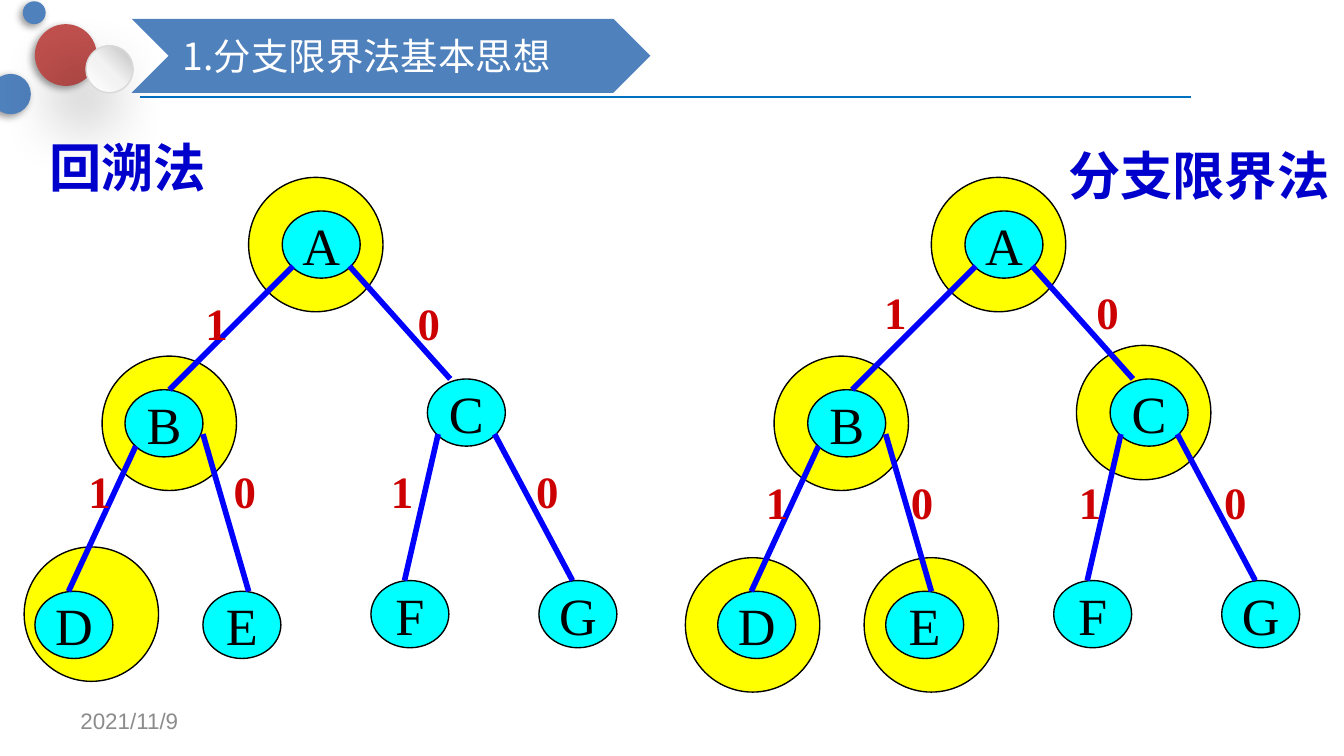
from dataclasses import dataclass

import lxml.etree
import pptx
import pptx.dml.color
import pptx.enum.shapes
import pptx.enum.text
import pptx.oxml.ns
import pptx.util
from pptx.util import Inches

RGBColor = pptx.dml.color.RGBColor
SHAPE = pptx.enum.shapes.MSO_SHAPE
ALIGN = pptx.enum.text.PP_ALIGN
ANCHOR = pptx.enum.text.MSO_ANCHOR
AUTO_SIZE = pptx.enum.text.MSO_AUTO_SIZE
qn = pptx.oxml.ns.qn

BLACK = RGBColor(0x00, 0x00, 0x00)
WHITE = RGBColor(0xFF, 0xFF, 0xFF)
YELLOW = RGBColor(0xFF, 0xFF, 0x00)
CYAN = RGBColor(0x00, 0xFF, 0xFF)
EDGE_BLUE = RGBColor(0x00, 0x00, 0xFF)
RULE_BLUE = RGBColor(0x00, 0x70, 0xC0)
BANNER_BLUE = RGBColor(0x4F, 0x81, 0xBD)
HEADING_BLUE = RGBColor(0x00, 0x00, 0xCC)
LABEL_RED = RGBColor(0xCC, 0x00, 0x00)
BALL_RED = RGBColor(0xC0, 0x50, 0x4D)
PALE_GRAY = RGBColor(0xF2, 0xF2, 0xF2)
RIM_GRAY = RGBColor(0xD9, 0xD9, 0xD9)
MID_GRAY = RGBColor(0xBF, 0xBF, 0xBF)
DATE_GRAY = RGBColor(0x8C, 0x8C, 0x8C)

TITLE_FONT = {"name": "Noto Sans CJK SC", "size": pptx.util.Pt(20), "bold": False}
HEADING_FONT = {"name": "Noto Sans CJK SC", "size": pptx.util.Pt(28), "bold": True}
NODE_FONT = {"name": "Times New Roman", "size": pptx.util.Pt(28), "bold": False}
LABEL_FONT = {"name": "Times New Roman", "size": pptx.util.Pt(24), "bold": True}
DATE_FONT = {"name": "Arial", "size": pptx.util.Pt(12), "bold": False}

NODE_WIDTH, NODE_HEIGHT, HALO_SIZE = 0.58, 0.5, 1
NODES = {"A": (2.1, 1.57), "B": (0.93, 2.9), "C": (3.18, 2.82), "D": (0.26, 4.4),
         "E": (1.51, 4.4), "F": (2.76, 4.32), "G": (4.01, 4.32)}
EDGES = [(2.18, 1.98, 1.26, 2.9), (2.6, 1.98, 3.35, 2.82), (1.01, 3.32, 0.51, 4.4),
         (1.51, 3.23, 1.85, 4.4), (3.26, 3.23, 3.01, 4.32), (3.68, 3.23, 4.26, 4.32)]


@dataclass
class Ball:
    left: float
    top: float
    size: float
    color: RGBColor | None  # None gives the shaded white ball
    blur: float = 4
    distance: float = 2


@dataclass
class Tree:
    heading: str
    heading_box: tuple[float, float, float, float]
    offset: float
    halos: list[tuple[float, float]]
    label_rows: list[tuple[float, list[float]]]  # top, then lefts of 1, 0, 1, 0


BALLS = [
    Ball(0.26, 0.18, 0.46, BALL_RED),
    Ball(-0.07, 0.55, 0.3, BANNER_BLUE),
    Ball(0.64, 0.34, 0.35, None, 35, 20),
    Ball(0.17, 0.01, 0.17, BANNER_BLUE),
]
TREES = [
    Tree("回溯法", (0.27, 0.96, 1.37, 0.57), 0,
         [(0.18, 4.07), (0.76, 2.65), (1.85, 1.32)],
         [(2.15, [1.43, 3.01]), (3.4, [0.56, 1.64, 2.81, 3.89])]),
    Tree("分支限界法", (7.85, 1.02, 2.15, 0.57), 5.08,
         [(5.1, 4.15), (6.43, 4.15), (5.76, 2.65), (8.01, 2.57), (6.93, 1.32)],
         [(2.07, [6.48, 8.06]), (3.48, [5.6, 6.68, 7.93, 9.01])]),
]


def write(shape, text: str, font_values: dict, color: RGBColor, align=ALIGN.LEFT,
          anchor=ANCHOR.MIDDLE, wrap: bool = False, auto_size=AUTO_SIZE.NONE) -> None:
    frame_values = {"word_wrap": wrap, "vertical_anchor": anchor, "auto_size": auto_size}
    for name, value in frame_values.items():
        setattr(shape.text_frame, name, value)
    paragraph = shape.text_frame.paragraphs[0]
    paragraph.alignment = align
    run = paragraph.add_run()
    run.text = text
    for name, value in font_values.items():
        setattr(run.font, name, value)
    run.font.color.rgb = color
    east_asian = lxml.etree.SubElement(run.font._element, qn("a:ea"))
    east_asian.set("typeface", font_values["name"])


def add_filled(slide, preset, box: tuple, fill: RGBColor, line: RGBColor | None = None):
    shape = slide.shapes.add_shape(preset, *map(Inches, box))
    shape.shadow.inherit = False
    shape.fill.solid()
    shape.fill.fore_color.rgb = fill
    if line is None:
        shape.line.fill.background()
    else:
        shape.line.color.rgb = line
        shape.line.width = pptx.util.Pt(0.75)
    return shape


def add_text(slide, box: tuple, text: str, font_values: dict, color: RGBColor, **options) -> None:
    write(slide.shapes.add_textbox(*map(Inches, box)), text, font_values, color, **options)


def add_line(slide, ends: tuple, color: RGBColor, width: float) -> None:
    connector = slide.shapes.add_connector(
        pptx.enum.shapes.MSO_CONNECTOR.STRAIGHT, *map(Inches, ends))
    connector.line.color.rgb = color
    connector.line.width = pptx.util.Pt(width)
    lxml.etree.SubElement(connector._element.spPr, qn("a:effectLst"))


def add_color(parent, color: RGBColor):
    element = lxml.etree.SubElement(parent, qn("a:srgbClr"))
    element.set("val", str(color))
    return element


def add_ball(slide, ball: Ball) -> None:
    shaded = ball.color is None
    shape = add_filled(slide, SHAPE.OVAL, (ball.left, ball.top, ball.size, ball.size),
                       WHITE if shaded else ball.color, RIM_GRAY if shaded else None)
    properties = shape._element.spPr
    if shaded:
        gradient = lxml.etree.Element(qn("a:gradFill"))
        stops = lxml.etree.SubElement(gradient, qn("a:gsLst"))
        for percent, color in ((0, WHITE), (50, PALE_GRAY), (100, MID_GRAY)):
            stop = lxml.etree.SubElement(stops, qn("a:gs"), pos=str(percent * 1000))
            add_color(stop, color)
        lxml.etree.SubElement(gradient, qn("a:lin"), ang=str(315 * 60000), scaled="0")
        properties.replace(properties.find(qn("a:solidFill")), gradient)
    shadow = lxml.etree.SubElement(
        properties.find(qn("a:effectLst")), qn("a:outerShdw"),
        blurRad=str(pptx.util.Pt(ball.blur)), dist=str(pptx.util.Pt(ball.distance)),
        dir=str(135 * 60000), rotWithShape="0")
    lxml.etree.SubElement(add_color(shadow, BLACK), qn("a:alpha"), val="40000")


def add_tree(slide, tree: Tree) -> None:
    for left, top in tree.halos:
        add_filled(slide, SHAPE.OVAL, (left, top, HALO_SIZE, HALO_SIZE), YELLOW, BLACK)
    for letter, (left, top) in NODES.items():
        box = (left + tree.offset, top, NODE_WIDTH, NODE_HEIGHT)
        node = add_filled(slide, SHAPE.OVAL, box, CYAN, BLACK)
        write(node, letter, NODE_FONT, BLACK, align=ALIGN.CENTER)
    for x1, y1, x2, y2 in EDGES:
        add_line(slide, (x1 + tree.offset, y1, x2 + tree.offset, y2), EDGE_BLUE, 3)
    growing = {"anchor": ANCHOR.TOP, "auto_size": AUTO_SIZE.SHAPE_TO_FIT_TEXT}
    add_text(slide, tree.heading_box, tree.heading, HEADING_FONT, HEADING_BLUE, **growing)
    for top, lefts in tree.label_rows:
        for index, left in enumerate(lefts):
            digit = "0" if index % 2 else "1"
            add_text(slide, (left, top, 0.37, 0.5), digit, LABEL_FONT, LABEL_RED, **growing)


def add_banner(slide) -> None:
    add_filled(slide, SHAPE.CHEVRON, (0.98, 0.14, 3.86, 0.55), BANNER_BLUE)
    title = slide.shapes.title
    box = {"left": 1.26, "top": 0.14, "width": 3.3, "height": 0.55}
    for name, value in box.items():
        setattr(title, name, Inches(value))
    write(title, "1.分支限界法基本思想", TITLE_FONT, WHITE, wrap=True)
    slide.shapes._spTree.append(title._element)  # bring the title above the chevron


def main() -> None:
    presentation = pptx.Presentation()
    presentation.slide_width = Inches(10)
    presentation.slide_height = Inches(10 * 9 / 16)
    slide = presentation.slides.add_slide(presentation.slide_layouts[5])
    add_line(slide, (1.04, 0.72, 8.86, 0.72), RULE_BLUE, 1.25)
    for ball in BALLS:
        add_ball(slide, ball)
    add_text(slide, (0.5, 5.21, 2.33, 0.3), "2021/11/9", DATE_FONT, DATE_GRAY, wrap=True)
    add_banner(slide)
    for tree in TREES:
        add_tree(slide, tree)
    presentation.save("out.pptx")


if __name__ == "__main__":
    main()
